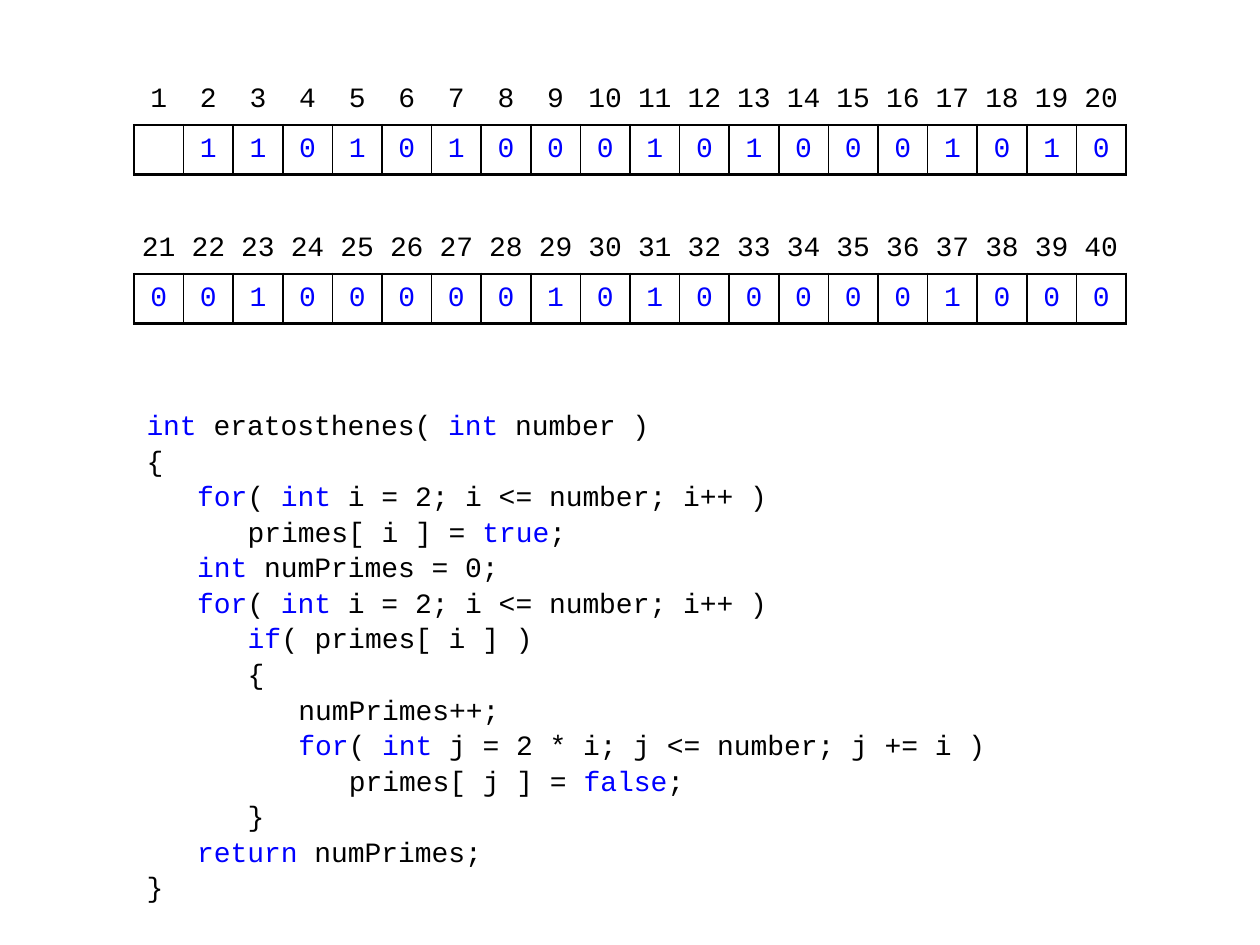
from lxml import etree
from pptx import Presentation
from pptx import util as u
from pptx.dml.color import RGBColor
from pptx.enum import text
from pptx.oxml import ns

BLACK = RGBColor(0x00, 0x00, 0x00)
BLUE = RGBColor(0x00, 0x00, 0xFF)
FONT = "Courier New"
FONT_SIZE = u.Pt(16)
NO_STYLE = "{2D5ABB26-0587-4C30-8999-92F81FD0307C}"

COLUMNS = 20
CELL_SIZE = u.Cm(1)
INDENT = u.Cm(1.02)  # three characters of code
OUTER, INNER = u.Pt(1.5), u.Pt(1)

# Flags of the numbers 1 to 40, one string per band of the sieve
SIEVE = [
    " 1101010001010001010",
    "00100000101000001000",
]

# Nesting level and code; keywords stand between bars
CODE = [
    (0, "|int |eratosthenes( |int| number )"),
    (0, "{"),
    (1, "|for|( |int| i = 2; i <= number; i++ )"),
    (2, "primes[ i ] = |true|;"),
    (1, "|int |numPrimes = 0;"),
    (1, "|for|( |int| i = 2; i <= number; i++ )"),
    (2, "|if|( primes[ i ] )"),
    (2, "{"),
    (3, "numPrimes++;"),
    (3, "|for|( |int| j = 2 * i; j <= number; j += i )"),
    (4, "primes[ j ] = |false|;"),
    (2, "}"),
    (1, "|return |numPrimes;"),
    (0, "}"),
]


def add_run(paragraph, wording, color):
    run = paragraph.add_run()
    run.text = wording
    run.font.name = FONT
    run.font.size = FONT_SIZE
    run.font.color.rgb = color


def add_code_line(paragraph, level, code):
    paragraph.line_spacing = 1.06
    paragraph.space_before = paragraph.space_after = u.Pt(0)
    properties = paragraph._p.get_or_add_pPr()
    properties.set("marL", str(level * INDENT))
    properties.set("indent", "0")
    etree.SubElement(properties, ns.qn("a:buNone"))
    for position, piece in enumerate(code.split("|")):
        if piece:
            add_run(paragraph, piece, BLUE if position % 2 else BLACK)


def fill_listing(body):
    body.left, body.top = u.Cm(2.7), u.Cm(8.05)
    body.width, body.height = u.Cm(20), u.Cm(9.5)
    frame = body.text_frame
    frame.auto_size = text.MSO_AUTO_SIZE.NONE
    frame.vertical_anchor = text.MSO_ANCHOR.TOP
    for number, (level, code) in enumerate(CODE):
        paragraph = frame.add_paragraph() if number else frame.paragraphs[0]
        add_code_line(paragraph, level, code)


def set_borders(cell, left, right):
    """Frame a cell; top and bottom always have the outer width."""
    properties = cell._tc.get_or_add_tcPr()
    for side, width in zip("LRTB", (left, right, OUTER, OUTER)):
        line = etree.SubElement(properties, ns.qn(f"a:ln{side}"), w=str(width))
        fill = etree.SubElement(line, ns.qn("a:solidFill"))
        etree.SubElement(fill, ns.qn("a:srgbClr"), val=str(BLACK))


def write_cell(cell, wording, color):
    cell.margin_top = cell.margin_bottom = u.Cm(0.13)
    cell.vertical_anchor = text.MSO_ANCHOR.MIDDLE
    paragraph = cell.text_frame.paragraphs[0]
    paragraph.alignment = text.PP_ALIGN.CENTER
    add_run(paragraph, wording, color)


def add_sieve(slide):
    row_count = 3 * len(SIEVE) - 1  # numbers, flags and a gap between bands
    table = slide.shapes.add_table(
        row_count, COLUMNS, u.Cm(2.7), u.Cm(1.52),
        COLUMNS * CELL_SIZE, row_count * CELL_SIZE).table
    table.first_row = table.horz_banding = False
    table._tbl.tblPr.find(ns.qn("a:tableStyleId")).text = NO_STYLE
    for column in table.columns:
        column.width = CELL_SIZE
    for row in table.rows:
        row.height = CELL_SIZE
    for cell in table.iter_cells():
        cell.margin_left = cell.margin_right = 0
        cell.margin_top = cell.margin_bottom = 0

    for band, flags in enumerate(SIEVE):
        for column, flag in enumerate(flags):
            number = band * COLUMNS + column + 1
            write_cell(table.cell(3 * band, column), str(number), BLACK)
            flag_cell = table.cell(3 * band + 1, column)
            if flag.strip():
                write_cell(flag_cell, flag, BLUE)
            set_borders(flag_cell,
                        INNER if column else OUTER,
                        INNER if column < COLUMNS - 1 else OUTER)
    for cell in table.iter_cells():
        cell.fill.background()


def main():
    deck = Presentation()
    deck.slide_width, deck.slide_height = u.Cm(25.4), u.Cm(19.05)
    slide = deck.slides.add_slide(deck.slide_layouts[1])
    title = slide.shapes.title
    title.element.getparent().remove(title.element)
    fill_listing(slide.placeholders[1])
    add_sieve(slide)
    deck.save("out.pptx")


if __name__ == "__main__":
    main()
